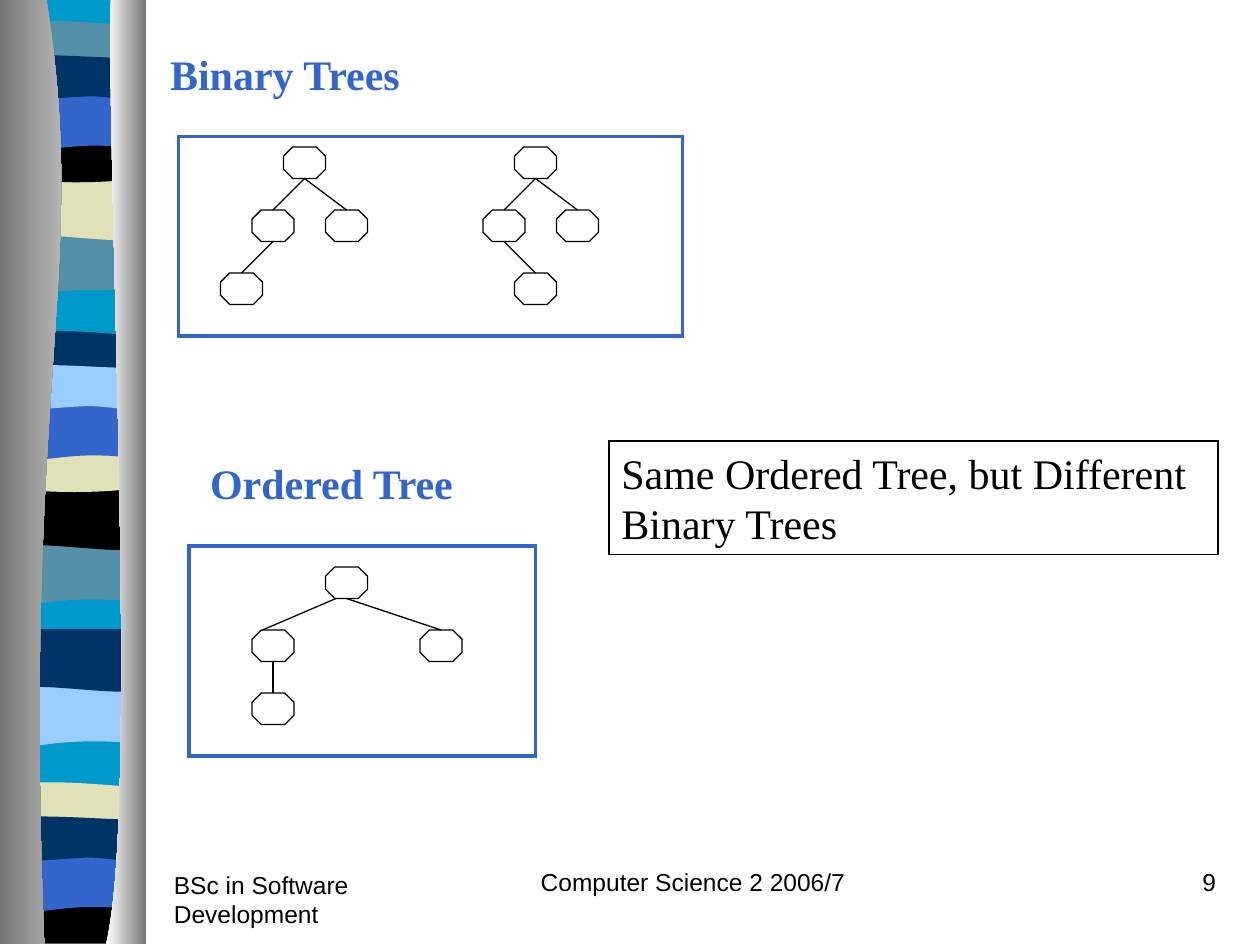
from dataclasses import dataclass

from lxml.etree import Element, SubElement
from pptx import Presentation
from pptx.dml.color import RGBColor
from pptx.enum.shapes import MSO_CONNECTOR, MSO_SHAPE
from pptx.enum.text import MSO_ANCHOR, PP_ALIGN
from pptx.oxml.ns import qn
from pptx.util import Pt

BLACK = RGBColor(0x00, 0x00, 0x00)
WHITE = RGBColor(0xFF, 0xFF, 0xFF)
BLUE = RGBColor(0x33, 0x66, 0xCC)
NAVY = RGBColor(0x00, 0x33, 0x66)
CYAN = RGBColor(0x00, 0x99, 0xCC)
TEAL = RGBColor(0x54, 0x90, 0xA8)
SAND = RGBColor(0xE1, 0xE1, 0xB7)
SKY = RGBColor(0x99, 0xCC, 0xFF)
GREY = RGBColor(0x76, 0x76, 0x76)
SILVER = RGBColor(0xD3, 0xD3, 0xD3)

SERIF, SANS = "Times New Roman", "Arial"
NODE_W, NODE_H = 24, 18


@dataclass(frozen=True)
class Band:
    top: float
    steps: tuple


@dataclass(frozen=True)
class BandRun:
    left: float
    shift: float
    bands: tuple


@dataclass(frozen=True)
class Tree:
    nodes: tuple
    edges: tuple


@dataclass(frozen=True)
class Label:
    text: str
    box: tuple
    size: float
    font: str
    color: RGBColor = BLACK
    bold: bool = False
    align: PP_ALIGN = PP_ALIGN.LEFT


WAVE = Band(133.2, ((78, 34), (24, 28.5, 13, 39.5, 0, 34), (0, 0)))
SWELL = Band(101.5, ((78, 34), (65, 39.5, 24, 30, 0, 34), (0, 0)))
SLIM = Band(15.1, ((78, 17), (65, 20, 13, 20, 0, 17), (0, 0),
                   (4.5, -3.5, 16.5, -3, 29.5, -3), (42.5, -3, 68, -0.7, 78, 0)))
DIP = Band(77.8, ((78, 23), (65, 27.5, 13, 27.5, 0, 23), (0, 0),
                  (47.5, 3.6, 61, 0, 78, 0)))
ARCH = Band(53.3, ((78, 34), (65.5, 30, 60.5, 30, 47.5, 30),
                   (34.5, 30, 11.5, 34, 0, 34), (0, 0)))
RIPPLE = Band(33.1, ((78, 22), (73, 26, 60.5, 22, 47.5, 22),
                     (34.5, 22, 8, 26, 0, 22), (0, 0),
                     (11, -3.5, 52.5, 0, 65.5, 0), (78.5, 0, 75, 0, 78, 0)))
FOOT = Band(77.6, ((78, 26.7), (0, 26.7), (0, 0), (47.5, 3.6, 61, 0, 78, 0)))

BAND_RUNS = (
    BandRun(4.3, 0, ((WAVE, TEAL), (SWELL, SAND), (SLIM, TEAL), (DIP, BLACK),
                     (ARCH, BLUE), (RIPPLE, NAVY))),
    BandRun(3.6, 177, ((WAVE, TEAL), (SWELL, BLACK), (SLIM, NAVY), (DIP, SAND),
                       (ARCH, BLUE), (RIPPLE, SKY))),
    BandRun(4.3, 258, ((WAVE, SKY), (SWELL, NAVY))),
    BandRun(3.6, 435, ((SLIM, SAND), (FOOT, BLACK), (ARCH, BLUE), (RIPPLE, NAVY))),
)
BASE = ((78, 538.6), (0, 538.6), (0, 0))
LEFT_PILLAR = ((51.4, 156, 12.4, 214, 25.3, 540), (0, 540), (0, 0))
RIGHT_PILLAR = ((60.5, 91, 80, 466, 60.5, 540), (83.5, 540), (83.5, 0.5))

TREES = (
    Tree(((162, 84), (144, 120), (126, 156), (186, 120)),
         ((1, 2, 0), (0, 1, 0), (0, 3, 0))),
    Tree(((294, 84), (276, 120), (294, 156), (318, 120)),
         ((0, 1, 0), (0, 3, 0), (1, 2, 0))),
    Tree(((186, 324), (240, 360), (144, 360), (144, 396)),
         ((2, 3, 0), (0, 1, 0), (0, 2, -6))),
)
FRAMES = ((102, 78, 288, 114), (108, 312, 198, 120))

TITLE = Label("Binary Trees", (90, 24, 438, 36), 24, SERIF, BLUE, True)
NOTE = Label("Same Ordered Tree, but Different Binary Trees",
             (348, 252, 348, 64.8), 24, SERIF)
LABELS = (
    Label("Ordered Tree", (113, 258, 175, 36), 24, SERIF, BLUE, True),
    Label("BSc in Software Development", (92.3, 493.4, 150, 36), 14, SANS),
    Label("Computer Science 2 2006/7", (282, 492, 228, 36), 14, SANS,
          align=PP_ALIGN.CENTER),
    Label("9", (552, 492, 150, 36), 14, SANS, align=PP_ALIGN.RIGHT),
)


def box_pt(box: tuple) -> list:
    return [Pt(v) for v in box]


def add_outline(s, start: tuple, steps: tuple, left: float = 0, top: float = 0):
    fb = s.shapes.build_freeform(Pt(left + start[0]), Pt(top + start[1]))
    for step in steps:
        pairs = zip(step[::2], step[1::2])
        fb.add_line_segments([(Pt(left + x), Pt(top + y)) for x, y in pairs], close=False)
    fb.add_line_segments([], close=True)
    sp = fb.convert_to_shape()
    lines = iter(list(sp._element.iter(qn("a:lnTo"))))
    for step in steps:
        parts = [next(lines) for _ in step[::2]]
        if len(parts) == 3:
            curve = Element(qn("a:cubicBezTo"))
            parts[0].addprevious(curve)
            for part in parts:
                curve.append(part[0])
                part.getparent().remove(part)
    sp.shadow.inherit = False
    sp.line.fill.background()
    return sp


def fill_solid(sp, color: RGBColor) -> None:
    sp.fill.solid()
    sp.fill.fore_color.rgb = color


def fill_gradient(sp, first: RGBColor, last: RGBColor) -> None:
    sp.fill.gradient()
    sp.fill.gradient_angle = 0
    for stop, color in zip(sp.fill.gradient_stops, (first, last)):
        stop.color.rgb = color


def add_ribbon(s) -> None:
    fill_solid(add_outline(s, (78, 0), BASE, 4.3, -0.7), CYAN)
    for run in BAND_RUNS:
        for band, color in run.bands:
            sp = add_outline(s, (78, 0), band.steps, run.left, run.shift + band.top)
            fill_solid(sp, color)
    fill_gradient(add_outline(s, (26.4, 0), LEFT_PILLAR, 0, -0.5), GREY, SILVER)
    fill_gradient(add_outline(s, (63.4, 0), RIGHT_PILLAR, 0, -0.5), WHITE, GREY)


def add_hollow(s, kind: MSO_SHAPE, box: tuple, color: RGBColor, width: float):
    sp = s.shapes.add_shape(kind, *box_pt(box))
    sp.shadow.inherit = False
    sp.fill.background()
    sp.line.color.rgb = color
    sp.line.width = Pt(width)
    SubElement(sp._element.spPr.find(qn("a:ln")), qn("a:miter"), lim="800000")
    return sp


def add_tree(s, tree: Tree) -> None:
    for x, y in tree.nodes:
        add_hollow(s, MSO_SHAPE.OCTAGON, (x, y, NODE_W, NODE_H), BLACK, 0.75)
    for parent, child, shift in tree.edges:
        (px, py), (cx, cy) = tree.nodes[parent], tree.nodes[child]
        dx = NODE_W / 2 + shift
        ends = box_pt((px + dx, py + NODE_H, cx + dx, cy))
        cn = s.shapes.add_connector(MSO_CONNECTOR.STRAIGHT, *ends)
        cn.line.color.rgb = BLACK
        cn.line.width = Pt(0.75)
        SubElement(cn._element.spPr, qn("a:effectLst"))


def write_label(sp, label: Label) -> None:
    tf = sp.text_frame
    tf.text = label.text
    tf.word_wrap = True
    tf.vertical_anchor = MSO_ANCHOR.TOP
    p = tf.paragraphs[0]
    p.alignment = label.align
    p.space_before = Pt(0)
    p.line_spacing = Pt(round(label.size * 1.2, 1))
    font = p.runs[0].font
    font.name = label.font
    font.size = Pt(label.size)
    font.bold = label.bold
    font.color.rgb = label.color


def main() -> None:
    prs = Presentation()
    prs.slide_width, prs.slide_height = Pt(720), Pt(540)
    s = prs.slides.add_slide(prs.slide_layouts[5])
    title = s.shapes.title
    title.left, title.top, title.width, title.height = box_pt(TITLE.box)
    write_label(title, TITLE)
    add_ribbon(s)
    for tree in TREES:
        add_tree(s, tree)
    for frame in FRAMES:
        add_hollow(s, MSO_SHAPE.RECTANGLE, frame, BLUE, 2)
    write_label(add_hollow(s, MSO_SHAPE.RECTANGLE, NOTE.box, BLACK, 0.75), NOTE)
    for label in LABELS:
        write_label(s.shapes.add_textbox(*box_pt(label.box)), label)
    prs.save("out.pptx")


if __name__ == "__main__":
    main()
